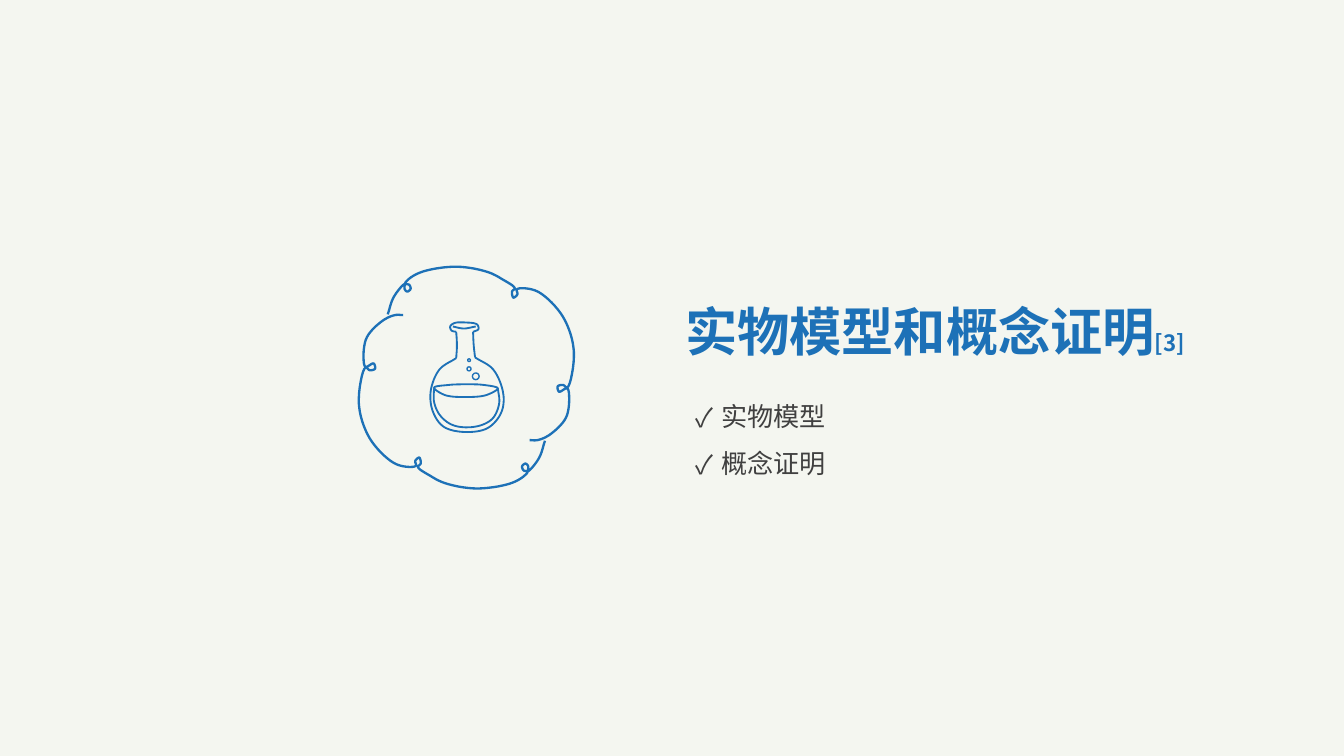
from dataclasses import dataclass
from math import dist, sqrt
from typing import Any

from lxml.etree import SubElement
from pptx import Presentation
from pptx.dml.color import RGBColor
from pptx.enum.shapes import MSO_SHAPE
from pptx.enum.text import MSO_AUTO_SIZE
from pptx.oxml.ns import qn
from pptx.util import Inches, Pt

PAPER = RGBColor(0xF4, 0xF6, 0xF0)
BLUE = RGBColor(0x1D, 0x71, 0xB7)
GREY = RGBColor(0x40, 0x40, 0x40)
FONT = "Noto Sans CJK SC"
COLS, ROWS = 1000, 562.5  # grid cells of 0.01 inch
STEPS = 8  # straight pieces between two curve points

Point = tuple[float, float]


@dataclass
class Stroke:
    points: list[Point]
    closed: bool = False


@dataclass
class Bubble:
    col: float
    row: float
    radius: float


@dataclass
class Piece:
    text: str
    size: float
    color: RGBColor
    bold: bool = False


def cell(n: float) -> int:
    return Inches(n / 100)


def mirror(point: Point, hub: Point) -> Point:
    return 2 * hub[0] - point[0], 2 * hub[1] - point[1]


def smooth(stroke: Stroke) -> list[Point]:
    """Run a centripetal Catmull-Rom curve through the points of a stroke."""
    pts = stroke.points
    if stroke.closed:
        pts = [pts[-1], *pts, pts[0], pts[1]]
    else:
        pts = [mirror(pts[1], pts[0]), *pts, mirror(pts[-2], pts[-1])]
    curve = [pts[1]]
    for a, b, c, d in zip(pts, pts[1:], pts[2:], pts[3:]):
        u, v, w = sqrt(dist(a, b)), sqrt(dist(b, c)), sqrt(dist(c, d))
        for step in range(1, STEPS + 1):
            t = step / STEPS
            spot = []
            for p, q, r, s in zip(a, b, c, d):
                m = r - q + v * ((q - p) / u - (r - p) / (u + v))
                n = r - q + v * ((s - r) / w - (s - q) / (v + w))
                spot.append(q + m * t + (3 * (r - q) - 2 * m - n) * t**2
                            + (2 * (q - r) + m + n) * t**3)
            curve.append((spot[0], spot[1]))
    return curve


def style(shape: Any, width: float) -> None:
    shape.shadow.inherit = False
    shape.fill.background()
    shape.line.color.rgb = BLUE
    shape.line.width = Pt(width)


def draw(group: Any, strokes: list[Stroke], width: float) -> None:
    build = None
    for stroke in strokes:
        first, *rest = [(cell(x), cell(y)) for x, y in smooth(stroke)]
        if build is None:
            build = group.shapes.build_freeform(*first)
        else:
            build.move_to(*first)
        build.add_line_segments(rest, close=stroke.closed)
    style(build.convert_to_shape(), width)


def bubble(group: Any, b: Bubble) -> None:
    side = cell(2 * b.radius)
    shape = group.shapes.add_shape(
        MSO_SHAPE.OVAL, cell(b.col - b.radius), cell(b.row - b.radius), side, side)
    style(shape, 0.75)


def textbox(slide: Any, col: float, row: float, wide: float, high: float, wrap: bool) -> Any:
    frame = slide.shapes.add_textbox(cell(col), cell(row), cell(wide), cell(high)).text_frame
    frame.word_wrap = wrap
    frame.auto_size = MSO_AUTO_SIZE.SHAPE_TO_FIT_TEXT
    return frame


def write(para: Any, piece: Piece) -> None:
    run = para.add_run()
    run.text = piece.text
    font = run.font
    font.name, font.size, font.bold = FONT, Pt(piece.size), piece.bold
    font.color.rgb = piece.color
    SubElement(font._element, qn("a:ea")).set("typeface", FONT)


def tick(para: Any) -> None:
    props = para._p.get_or_add_pPr()
    props.set("marL", str(cell(19)))
    props.set("indent", str(-cell(19)))
    SubElement(props, qn("a:buFont")).set("typeface", FONT)
    SubElement(props, qn("a:buChar")).set("char", "✓")


# One half of the cloud; the other is the same half turned about its centre
HUB = (347, 281)
HALF = [
    (405.5, 328), (401, 341), (393, 350.5), (393, 347), (391, 345), (388.5, 347),
    (389.5, 350), (392.5, 351), (389, 355), (379, 360), (354, 363.5), (331, 359.5),
    (320, 354), (311, 347.5), (313, 345), (312, 340.5), (309, 343), (309.5, 346.5),
    (305, 347.5), (293, 344.5), (275, 326), (267, 300), (272, 273.5), (275, 275.5),
    (279, 274.5), (278, 270.5), (272, 273), (270.5, 266), (273, 251), (285, 238.5),
    (294, 234.5), (300, 234.5),
]
TURNED = [mirror(point, HUB) for point in HALF]

# Flask parts
GLASS = [
    Stroke([(339.5, 247), (336, 246), (335, 243), (338, 240.5), (346, 240),
            (355, 241.5), (356, 245), (352, 247)]),
    Stroke([(339.5, 247), (340, 257), (339.5, 266.5)]),
    Stroke([(352, 247), (352.5, 257), (353.5, 266)]),
    Stroke([(339.5, 266.5), (327, 275), (320.5, 291), (322, 306), (330, 317.5),
            (346, 321.5), (363, 318.5), (373, 307), (374.5, 293), (367, 275),
            (353.5, 266)]),
]
RIM = [Stroke([(337, 243), (345, 244.5), (354, 243)])]
LIQUID = [
    Stroke([(323, 288.5), (334, 286.5), (347, 286), (360, 286.5), (370.5, 289),
            (362, 294), (346, 295.5), (331, 294)], closed=True),
    Stroke([(323, 289), (323, 299), (327, 308.5), (335, 315.5), (345, 318),
            (358, 316.5), (367, 311), (371.5, 300), (370.5, 289)]),
]
BUBBLES = [Bubble(354, 280, 2.5), Bubble(349, 274.5, 1.5), Bubble(349, 268, 1)]

TITLE = [Piece("实物模型和概念证明", 28, BLUE, True), Piece("[3]", 12, BLUE, True)]
TOPICS = ["实物模型", "概念证明"]


def main() -> None:
    deck = Presentation()
    deck.slide_width, deck.slide_height = cell(COLS), cell(ROWS)
    slide = deck.slides.add_slide(deck.slide_layouts[6])
    slide.background.fill.solid()
    slide.background.fill.fore_color.rgb = PAPER

    # Topics
    frame = textbox(slide, 508, 281, 117, 81, wrap=False)
    for i, topic in enumerate(TOPICS):
        para = frame.add_paragraph() if i else frame.paragraphs[0]
        para.line_spacing = 1.5
        tick(para)
        write(para, Piece(topic, 14, GREY))

    # Title
    head = textbox(slide, 500, 218, 440, 57, wrap=True).paragraphs[0]
    for piece in TITLE:
        write(head, piece)

    # Cloud
    cloud = slide.shapes.add_group_shape()
    for half in (HALF, TURNED):
        draw(cloud, [Stroke(half)], 1.25)

    # Flask
    flask = slide.shapes.add_group_shape()
    for part in (GLASS, RIM, LIQUID):
        draw(flask, part, 1)
    for b in BUBBLES:
        bubble(flask, b)

    deck.save("out.pptx")


if __name__ == "__main__":
    main()
